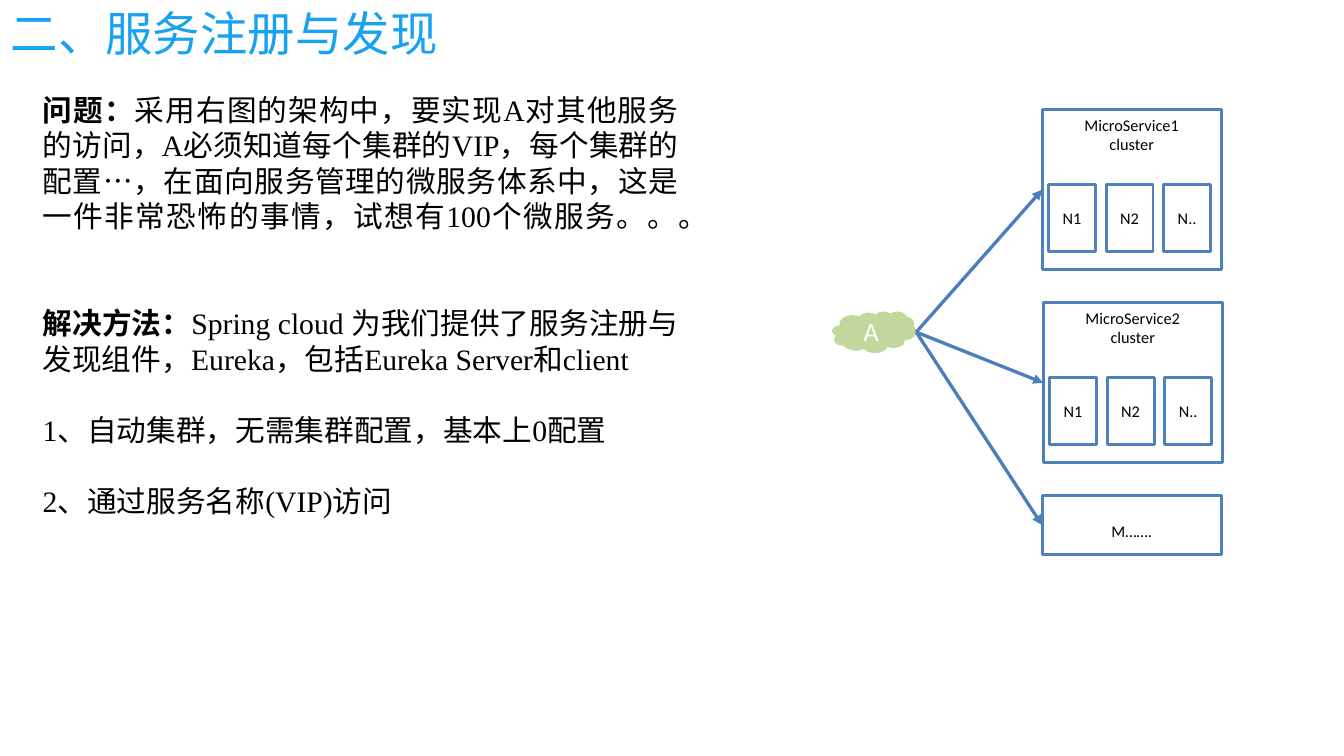
from lxml import etree
from pptx import Presentation
from pptx.dml.color import RGBColor
from pptx.enum.shapes import MSO_CONNECTOR, MSO_SHAPE
from pptx.enum.text import MSO_ANCHOR, MSO_AUTO_SIZE, PP_ALIGN
from pptx.oxml.ns import qn
from pptx.util import Inches, Pt

RECT, CLOUD = MSO_SHAPE.RECTANGLE, MSO_SHAPE.CLOUD
STRAIGHT = MSO_CONNECTOR.STRAIGHT
TOP, MIDDLE = MSO_ANCHOR.TOP, MSO_ANCHOR.MIDDLE
LEFT, CENTER, JUSTIFY = PP_ALIGN.LEFT, PP_ALIGN.CENTER, PP_ALIGN.JUSTIFY

COLORS = {"title": "18A2EF", "text": "000000", "paper": "FFFFFF",
          "border": "4F81BD", "arrow": "4B7EBC", "cloud": "C3D69B"}

TITLE = "二、服务注册与发现"
BODY = [
    ("问题：", "采用右图的架构中，要实现A对其他服务的访问，A必须知道每个集群的VIP，"
     "每个集群的配置…，在面向服务管理的微服务体系中，这是一件非常恐怖的事情，"
     "试想有100个微服务。。。", 0),
    ("解决方法：", "Spring cloud 为我们提供了服务注册与发现组件，Eureka，"
     "包括Eureka Server和client", 48),
    ("", "1、自动集群，无需集群配置，基本上0配置", 24),
    ("", "2、通过服务名称(VIP)访问", 24),
]
CLUSTERS = [("MicroService1", 9.77, 1.03), ("MicroService2", 9.78, 2.84)]
NODES = ["N1", "N2", "N.."]
BOX_W, CLUSTER_H = 1.68, 1.5
NODE_W, NODE_H, NODE_STEP = 0.44, 0.63, 0.54
NODE_DX, NODE_DY = 0.06, 0.7
MORE = ("M…….", 9.77, 4.65, 0.55)
CALLER = ("A", 7.8, 2.92, 0.79, 0.39)


def rgb(name):
    return RGBColor.from_string(COLORS[name])


def add_text(p, text, size=11, font="Calibri", color="text", bold=False,
             align=CENTER, before=0):
    p.alignment = align
    p.space_before = Pt(before)
    r = p.add_run()
    r.text = text
    r.font.size = Pt(size)
    r.font.name = font
    r.font.bold = bold
    r.font.color.rgb = rgb(color)


def add_box(shapes, lines, x, y, w, h, kind=RECT, fill="paper", border="border",
            anchor=MIDDLE, margin_top=0.05, **fmt):
    sp = shapes.add_shape(kind, Inches(x), Inches(y), Inches(w), Inches(h))
    sp.shadow.inherit = False
    sp.fill.solid()
    sp.fill.fore_color.rgb = rgb(fill)
    if border:
        sp.line.color.rgb = rgb(border)
        sp.line.width = Pt(2)
    else:
        sp.line.fill.background()
    tf = sp.text_frame
    tf.vertical_anchor = anchor
    tf.margin_top = Inches(margin_top)
    for i, line in enumerate(lines):
        add_text(tf.add_paragraph() if i else tf.paragraphs[0], line, **fmt)
    return sp


def place(sp, x, y, w, h):
    sp.left, sp.top, sp.width, sp.height = map(Inches, (x, y, w, h))
    tf = sp.text_frame
    tf.word_wrap = True
    tf.auto_size = MSO_AUTO_SIZE.NONE
    tf.vertical_anchor = TOP
    return tf


def add_cluster(s, name, x, y):
    group = s.shapes.add_group_shape()
    box = add_box(group.shapes, [name, "cluster"], x, y, BOX_W, CLUSTER_H, anchor=TOP)
    for i, node in enumerate(NODES):
        add_box(group.shapes, [node], x + NODE_DX + i * NODE_STEP, y + NODE_DY,
                NODE_W, NODE_H)
    return box


def add_arrow(s, x, y, target):
    cx = s.shapes.add_connector(STRAIGHT, Inches(x), Inches(y), target.left, target.top)
    cx.end_connect(target, 1)
    cx.line.color.rgb = rgb("arrow")
    cx.line.width = Pt(2.25)
    etree.SubElement(cx.line._get_or_add_ln(), qn("a:tailEnd"), type="triangle")
    etree.SubElement(cx._element.spPr, qn("a:effectLst"))


def main():
    prs = Presentation()
    prs.slide_width, prs.slide_height = Inches(12.6), Inches(7.09)
    s = prs.slides.add_slide(prs.slide_layouts[1])

    tf = place(s.shapes.title, 0, -0.01, 10.87, 0.56)
    add_text(tf.paragraphs[0], TITLE, size=32, font="Arial", color="title", align=LEFT)

    tf = place(s.placeholders[1], 0.3, 0.81, 6.16, 4.81)
    for i, (lead, text, before) in enumerate(BODY):
        p = tf.add_paragraph() if i else tf.paragraphs[0]
        for part, bold in ((lead, True), (text, False)):
            if part:
                add_text(p, part, size=20, font="Times New Roman", bold=bold,
                         align=JUSTIFY, before=before)
        pPr = p._p.get_or_add_pPr()
        pPr.set("marL", "0")
        pPr.set("indent", "0")
        etree.SubElement(pPr, qn("a:buNone"))

    targets = [add_cluster(s, *cluster) for cluster in CLUSTERS]
    name, x, y, h = MORE
    targets.append(add_box(s.shapes, [name], x, y, BOX_W, h, anchor=TOP, margin_top=0.24))

    name, x, y, w, h = CALLER
    add_box(s.shapes, [name], x, y, w, h, kind=CLOUD, fill="cloud", border=None,
            size=18, color="paper")
    for target in targets:
        add_arrow(s, x + w, y + h / 2, target)

    prs.save("out.pptx")


if __name__ == "__main__":
    main()
